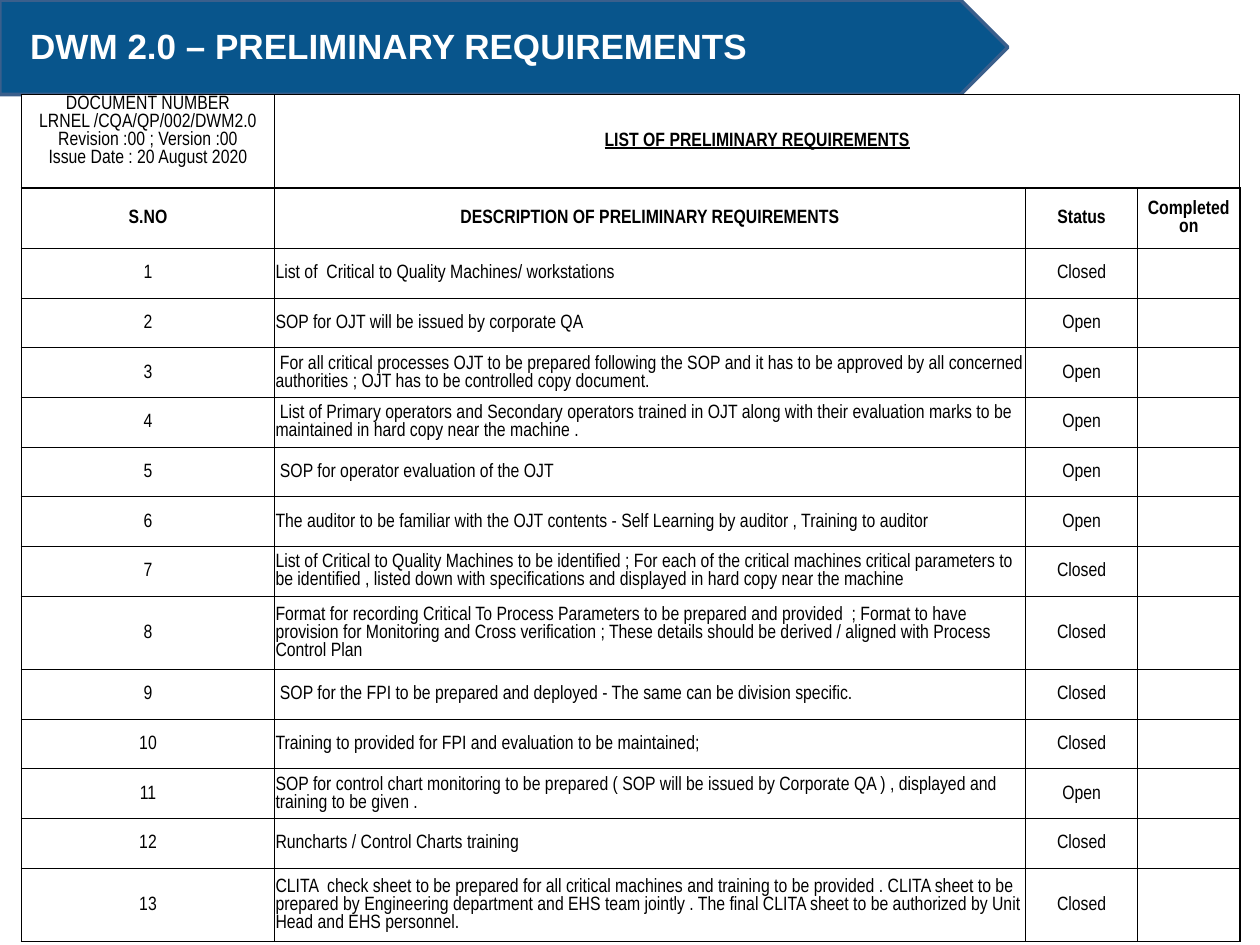
import dataclasses

import lxml.etree
import pptx
import pptx.dml.color
import pptx.enum.shapes
import pptx.enum.text
import pptx.oxml.ns
import pptx.util

Inches, Pt = pptx.util.Inches, pptx.util.Pt
ALIGN, ANCHOR = pptx.enum.text.PP_ALIGN, pptx.enum.text.MSO_ANCHOR


@dataclasses.dataclass(frozen=True)
class Theme:
    """Colours, fonts and type sizes of the slide."""
    blue: str = "08558C"
    outline: str = "3A5F8C"
    white: str = "FFFFFF"
    black: str = "000000"
    title_font: str = "Arial"
    table_font: str = "Arial Narrow"
    title_size: float = 20
    table_size: float = 11
    thin: float = 0.5
    thick: float = 1


THEME = Theme()
WIDTH, HEIGHT = 10, 7.5
BANNER_BOX = (0, 0, WIDTH * 0.8, HEIGHT * 0.1)
TABLE_BOX = (0.17, HEIGHT * 0.1, 9.67, 6.71)
COLUMNS = (2.01, 5.96, 0.89, 0.81)
HEAD_ROWS = (0.73, 0.48)
TALL_ROW, TALL_ITEMS = 0.58, (8, 13)

DOCUMENT = "\v".join((
    "DOCUMENT NUMBER", "LRNEL /CQA/QP/002/DWM2.0",
    "Revision :00 ; Version :00", "Issue Date : 20 August 2020"))
LIST_TITLE = "LIST OF PRELIMINARY REQUIREMENTS"
HEADINGS = ("S.NO", "DESCRIPTION OF PRELIMINARY REQUIREMENTS", "Status", "Completed on")
REQUIREMENTS = (
    ("List of  Critical to Quality Machines/ workstations", "Closed"),
    ("SOP for OJT will be issued by corporate QA", "Open"),
    (" For all critical processes OJT to be prepared following the SOP and it has to be "
     "approved by all concerned authorities ; OJT has to be controlled copy document.", "Open"),
    (" List of Primary operators and Secondary operators trained in OJT along with their "
     "evaluation marks to be maintained in hard copy near the machine .", "Open"),
    (" SOP for operator evaluation of the OJT", "Open"),
    ("The auditor to be familiar with the OJT contents - Self Learning by auditor , "
     "Training to auditor", "Open"),
    ("List of Critical to Quality Machines to be identified ; For each of the critical "
     "machines critical parameters to be identified , listed down with specifications and "
     "displayed in hard copy near the machine", "Closed"),
    ("Format for recording Critical To Process Parameters to be prepared and provided  ; "
     "Format to have provision for Monitoring and Cross verification ; These details should "
     "be derived / aligned with Process Control Plan", "Closed"),
    (" SOP for the FPI to be prepared and deployed - The same can be division specific.",
     "Closed"),
    ("Training to provided for FPI and evaluation to be maintained;", "Closed"),
    ("SOP for control chart monitoring to be prepared ( SOP will be issued by Corporate QA ) "
     ", displayed and training to be given .", "Open"),
    ("Runcharts / Control Charts training", "Closed"),
    ("CLITA  check sheet to be prepared for all critical machines and training to be "
     "provided . CLITA sheet to be prepared by Engineering department and EHS team jointly . "
     "The final CLITA sheet to be authorized by Unit Head and EHS personnel.", "Closed"),
)


def rgb(value):
    """Turn a hex string into a colour."""
    return pptx.dml.color.RGBColor.from_string(value)


def style(para, name, size, color, bold=False, align=ALIGN.LEFT):
    """Set the font and alignment of a paragraph."""
    font = para.font
    font.name, font.size, font.bold = name, Pt(size), bold
    font.color.rgb = rgb(color)
    para.alignment = align


def set_borders(cell, widths):
    """Draw the left, right, top and bottom borders of a cell."""
    properties = cell._tc.get_or_add_tcPr()
    for index, (side, width) in enumerate(zip("LRTB", widths)):
        line = lxml.etree.Element(pptx.oxml.ns.qn(f"a:ln{side}"), w=str(Pt(width)))
        fill = lxml.etree.SubElement(line, pptx.oxml.ns.qn("a:solidFill"))
        lxml.etree.SubElement(fill, pptx.oxml.ns.qn("a:srgbClr"), val=THEME.black)
        properties.insert(index, line)


def add_banner(page, box):
    """Place the arrow and the slide title on it."""
    left, top, width, height = box
    arrow = page.shapes.add_shape(
        pptx.enum.shapes.MSO_SHAPE.PENTAGON, *map(Inches, box))
    arrow.shadow.inherit = False
    arrow.fill.solid()
    arrow.fill.fore_color.rgb = rgb(THEME.blue)
    arrow.line.color.rgb = rgb(THEME.outline)
    arrow.line.width = Pt(2)

    title_box = (left + width * 0.03, top + height * 0.23, width * 0.83, height * 0.47)
    title = page.shapes.add_textbox(*map(Inches, title_box)).text_frame
    title.word_wrap = True
    title.auto_size = pptx.enum.text.MSO_AUTO_SIZE.SHAPE_TO_FIT_TEXT
    title.margin_left = title.margin_right = title.margin_bottom = 0
    title.margin_top = Inches(0.02)
    title.text = "DWM 2.0 – PRELIMINARY REQUIREMENTS"
    para = title.paragraphs[0]
    style(para, THEME.title_font, THEME.title_size, THEME.white, True)
    para.space_before = Pt(1.2)


def fill_cell(cell, text, row, column):
    """Write and format one cell according to its row and column."""
    is_head = row < len(HEAD_ROWS)
    is_document = row == 0 and column == 0
    cell.text = text
    cell.margin_left = cell.margin_right = cell.margin_top = Pt(0.5)
    cell.margin_bottom = 0
    cell.vertical_anchor = ANCHOR.TOP if is_document else ANCHOR.MIDDLE
    para = cell.text_frame.paragraphs[0]
    style(para, THEME.table_font, THEME.table_size, THEME.black,
          is_head and not is_document,
          ALIGN.LEFT if column == 1 and not is_head else ALIGN.CENTER)
    para.font.underline = row == 0 and column == 1
    if is_head:
        cell.fill.solid()
        cell.fill.fore_color.rgb = rgb(THEME.white)
    else:
        cell.fill.background()
    edges = (column == 0, column == len(COLUMNS) - 1,
             0 < row <= len(HEAD_ROWS), is_head)
    set_borders(cell, [THEME.thick if edge else THEME.thin for edge in edges])


def add_requirements(page, box):
    """Place the table; the ordinary rows share the height left over."""
    width, height = box[2:]
    rows = [(DOCUMENT, LIST_TITLE, "", ""), HEADINGS]
    rows += [(str(number), text, status, "")
             for number, (text, status) in enumerate(REQUIREMENTS, 1)]
    spare = height - sum(HEAD_ROWS) - TALL_ROW * len(TALL_ITEMS)
    short_row = spare / (len(REQUIREMENTS) - len(TALL_ITEMS))
    heights = list(HEAD_ROWS) + [
        TALL_ROW if number in TALL_ITEMS else short_row
        for number in range(1, len(REQUIREMENTS) + 1)]

    table = page.shapes.add_table(len(rows), len(COLUMNS), *map(Inches, box)).table
    table.first_row = table.horz_banding = False
    for column, share in zip(table.columns, COLUMNS):
        column.width = Inches(width * share / sum(COLUMNS))
    for row, (texts, row_height) in enumerate(zip(rows, heights)):
        table.rows[row].height = Inches(row_height)
        for column, text in enumerate(texts):
            fill_cell(table.cell(row, column), text, row, column)
    table.cell(0, 1).merge(table.cell(0, len(COLUMNS) - 1))


def main():
    """Build the slide and save the deck."""
    deck = pptx.Presentation()
    deck.slide_width, deck.slide_height = Inches(WIDTH), Inches(HEIGHT)
    page = deck.slides.add_slide(deck.slide_layouts[6])
    add_banner(page, BANNER_BOX)
    add_requirements(page, TABLE_BOX)
    deck.save("out.pptx")


main()
